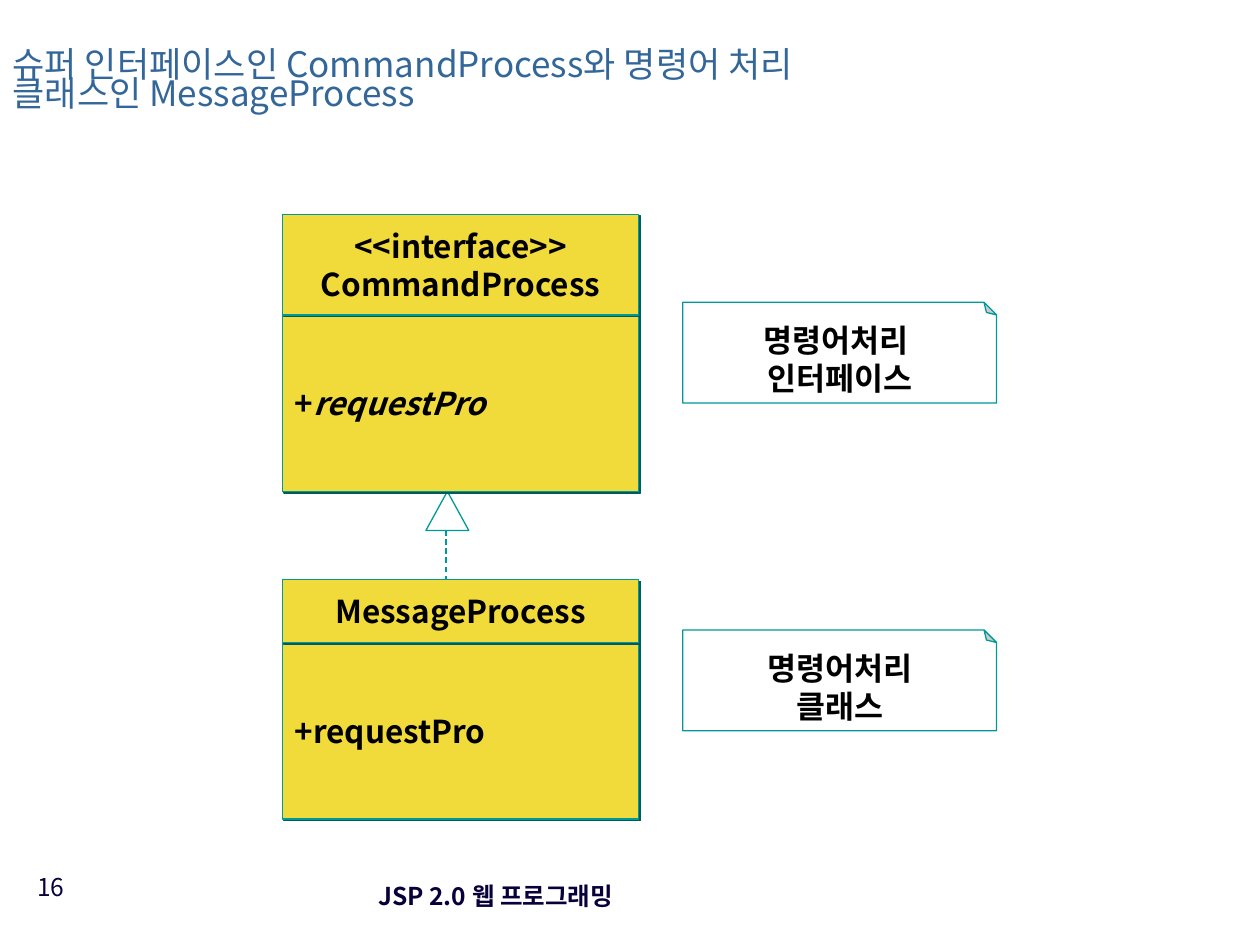
from lxml import etree
from pptx import Presentation
from pptx import util as u
from pptx.dml.color import RGBColor
from pptx.enum import dml, shapes, text
from pptx.oxml.ns import qn

FONT = "Noto Sans CJK KR"
TEAL, YELLOW, WHITE = "009999", "F1DB3B", "FFFFFF"
SHADOW, INK, NAVY, BLUE = "005C5C", "010000", "08003A", "336699"
CLASS_LEFT, CLASS_WIDTH = 161.3, 203.8
NOTE_LEFT, NOTE_WIDTH, NOTE_HEIGHT = 390.2, 179.3, 57.6
LEFT, CENTER, RIGHT = text.PP_ALIGN.LEFT, text.PP_ALIGN.CENTER, text.PP_ALIGN.RIGHT


def paint(color_format, hex_code):
    color_format.rgb = RGBColor.from_string(hex_code)


def points(*lengths):
    return [u.Pt(length) for length in lengths]


def write(frame, lines, size, color, align=LEFT, bold=False, wrap=True,
          anchor=text.MSO_ANCHOR.MIDDLE):
    """Fill a frame; each line is a list of (words, italic) runs."""
    frame.auto_size = text.MSO_AUTO_SIZE.NONE
    frame.word_wrap = wrap
    frame.vertical_anchor = anchor
    for index, line in enumerate(lines):
        paragraph = frame.add_paragraph() if index else frame.paragraphs[0]
        paragraph.alignment = align
        for words, italic in line:
            run = paragraph.add_run()
            run.text = words
            font = run.font
            font.name, font.size = FONT, u.Pt(size)
            font.bold, font.italic = bold, italic
            paint(font.color, color)
            east_asian = etree.SubElement(run._r.get_or_add_rPr(), qn("a:ea"))
            east_asian.set("typeface", FONT)


def outline(line):
    paint(line.color, TEAL)
    line.width = u.Pt(0.75)


def add_outlined(slide, preset, left, top, width, height, fill=None):
    shape = slide.shapes.add_shape(preset, *points(left, top, width, height))
    shape.shadow.inherit = False
    outline(shape.line)
    if fill:
        shape.fill.solid()
        paint(shape.fill.fore_color, fill)
    else:
        shape.fill.background()
    return shape


def add_hard_shadow(shape):
    effects = shape._element.spPr.find(qn("a:effectLst"))
    shadow = etree.SubElement(effects, qn("a:outerShdw"), dist=str(u.Pt(1.4)),
                              dir="2700000", algn="ctr", rotWithShape="0")
    etree.SubElement(shadow, qn("a:srgbClr"), val=SHADOW)


def add_compartment(slide, top, height, lines, align):
    box = add_outlined(slide, shapes.MSO_SHAPE.RECTANGLE, CLASS_LEFT, top,
                       CLASS_WIDTH, height, YELLOW)
    add_hard_shadow(box)
    write(box.text_frame, lines, 18, INK, align, bold=True, wrap=False)


def add_class(slide, top, name_height, names, method):
    """Draw the method compartment first so the name overlaps it."""
    add_compartment(slide, top + name_height, 100.8, [method], LEFT)
    add_compartment(slide, top, name_height,
                    [[(name, False)] for name in names], CENTER)


def add_note(slide, top, lines):
    """Flip the folded corner to the top and turn its text upright again."""
    note = add_outlined(slide, shapes.MSO_SHAPE.FOLDED_CORNER, NOTE_LEFT, top,
                        NOTE_WIDTH, NOTE_HEIGHT, WHITE)
    fold = note._element.spPr.find(qn("a:prstGeom")).get_or_add_avLst()
    etree.SubElement(fold, qn("a:gd"), name="adj", fmla="val 12500")
    note._element.spPr.find(qn("a:xfrm")).set("flipV", "1")
    write(note.text_frame, [[(line, False)] for line in lines], 18, INK,
          CENTER, bold=True, wrap=False)
    note._element.txBody.find(qn("a:bodyPr")).set("rot", "10800000")


def add_realization(slide):
    add_outlined(slide, shapes.MSO_SHAPE.ISOSCELES_TRIANGLE,
                 243.4, 280.8, 24.5, 22.3)
    stem = slide.shapes.add_connector(shapes.MSO_CONNECTOR.STRAIGHT,
                                      *points(254.9, 303.1, 254.9, 331.2))
    outline(stem.line)
    stem.line.dash_style = dml.MSO_LINE.DASH
    etree.SubElement(stem._element.spPr, qn("a:effectLst"))


def add_label(slide, place, words, **style):
    label = slide.shapes.add_textbox(*points(*place))
    write(label.text_frame, [[(words, False)]], 14, NAVY, **style)


def set_title(slide, words):
    title = slide.shapes.title
    title.left, title.top, title.width, title.height = points(0, 15.1, 462.2, 64.8)
    write(title.text_frame, [[(words, False)]], 20, BLUE)
    title.text_frame.paragraphs[0].line_spacing = 0.7


def main():
    deck = Presentation()
    deck.slide_width, deck.slide_height = points(720, 540)
    slide = deck.slides.add_slide(deck.slide_layouts[5])
    set_title(slide, "슈퍼 인터페이스인 CommandProcess와 명령어 처리 클래스인 MessageProcess")
    add_label(slide, (169.2, 493.9, 228.2, 36), "JSP 2.0 웹 프로그래밍",
              align=CENTER, bold=True)
    add_label(slide, (10.1, 494.6, 33.8, 37.4), "16", align=RIGHT,
              anchor=text.MSO_ANCHOR.TOP)
    add_realization(slide)
    add_class(slide, 122.4, 57.6, ["<<interface>>", "CommandProcess"],
              [("+", False), ("requestPro", True)])
    add_class(slide, 331.2, 36, ["MessageProcess"], [("+requestPro", False)])
    add_note(slide, 172.8, ["명령어처리 ", "인터페이스"])
    add_note(slide, 360, ["명령어처리", "클래스"])
    deck.save("out.pptx")


if __name__ == "__main__":
    main()
